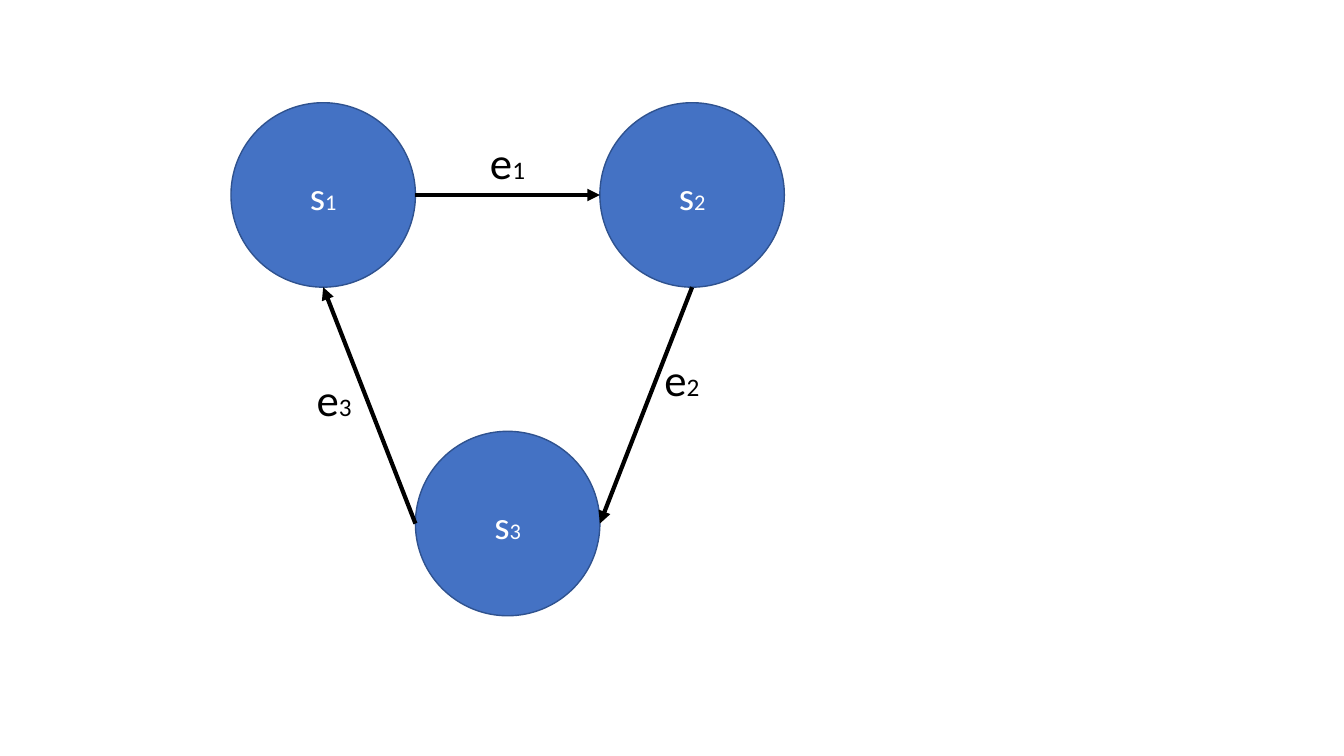
from pptx import Presentation
from pptx.dml.color import RGBColor as RGB
from pptx.enum.shapes import MSO_CONNECTOR as LINE, MSO_SHAPE as SHAPE
from pptx.enum.text import MSO_ANCHOR as ANCHOR, MSO_AUTO_SIZE as AUTO, PP_ALIGN as ALIGN
from pptx.oxml.ns import qn
from pptx.util import Pt
from lxml import etree

HUES = {"fill": "4472C4", "rim": "2F528F", "light": "FFFFFF", "ink": "000000"}
SIZE = 131.75  # circle diameter
LEFT, TOP, LOW = 165, 73.4, 308.1
STATES = {
    "1": (LEFT, TOP),
    "2": (LEFT + 2 * SIZE, TOP),
    "3": (LEFT + SIZE, LOW),
}
SIDES = {"left": (0, 0.5), "right": (1, 0.5), "low": (0.5, 1)}
# index, start state and side, end state and side, label corner
EDGES = [
    ("1", ("1", "right"), ("2", "left"), (342.7, 92.9)),
    ("2", ("2", "low"), ("3", "right"), (467.3, 247.7)),
    ("3", ("3", "left"), ("1", "low"), (218.9, 262.1)),
]


def hue(name):
    return RGB.from_string(HUES[name])


def write(shape, parts, ink, **frame):
    """Set one centred paragraph from (text, size) parts."""
    box = shape.text_frame
    for key, value in frame.items():
        setattr(box, key, value)
    para = box.paragraphs[0]
    para.alignment = ALIGN.CENTER
    for text, size in parts:
        run = para.add_run()
        run.text = text
        look = {"name": "Calibri", "size": Pt(size)}
        for key, value in look.items():
            setattr(run.font, key, value)
        run.font.color.rgb = hue(ink)


def add_state(slide, index, left, top):
    disc = slide.shapes.add_shape(SHAPE.OVAL, Pt(left), Pt(top), Pt(SIZE), Pt(SIZE))
    disc.shadow.inherit = False
    disc.fill.solid()
    disc.fill.fore_color.rgb = hue("fill")
    disc.line.color.rgb = hue("rim")
    disc.line.width = Pt(1)
    write(disc, [("s", 28), (index, 16)], "light", vertical_anchor=ANCHOR.MIDDLE)


def anchor(state, side):
    """Return the point at one side of a state's circle."""
    return [Pt(pos + part * SIZE) for pos, part in zip(STATES[state], SIDES[side])]


def add_arrow(slide, start, end):
    arrow = slide.shapes.add_connector(LINE.STRAIGHT, *anchor(*start), *anchor(*end))
    arrow.line.color.rgb = hue("ink")
    arrow.line.width = Pt(3)
    etree.SubElement(arrow.line._get_or_add_ln(), qn("a:tailEnd"), type="triangle")
    etree.SubElement(arrow._element.spPr, qn("a:effectLst"))


def add_label(slide, index, left, top):
    box = slide.shapes.add_textbox(Pt(left), Pt(top), Pt(39.6), Pt(45.4))
    write(box, [("e", 32), (index, 18)], "ink",
          word_wrap=False, auto_size=AUTO.SHAPE_TO_FIT_TEXT)


def main():
    deck = Presentation()
    deck.slide_width, deck.slide_height = Pt(960), Pt(540)
    slide = deck.slides.add_slide(deck.slide_layouts[6])
    for index, spot in STATES.items():
        add_state(slide, index, *spot)
    for _, start, end, _ in EDGES:
        add_arrow(slide, start, end)
    for index, _, _, spot in EDGES:
        add_label(slide, index, *spot)
    deck.save("out.pptx")


if __name__ == "__main__":
    main()
